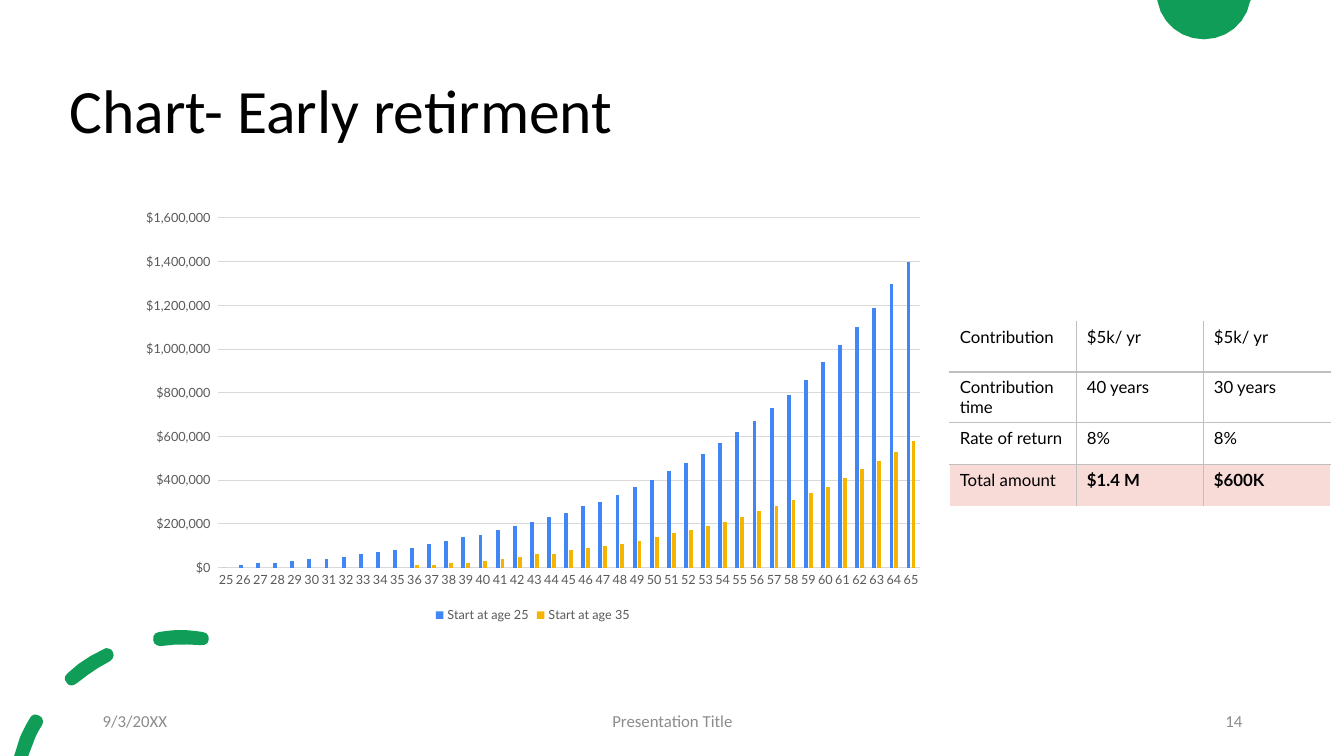
import pptx
import pptx.chart.data
import pptx.dml.color
import pptx.enum.chart
import pptx.enum.text
import pptx.oxml
import pptx.oxml.ns
import pptx.util

# Content
TITLE = "Chart- Early retirment"
AGES = range(25, 66)
LATE_START = 35
# Savings in tens of thousands of dollars, one value a year
SAVINGS = {
    "Start at age 25": ("4285F4", [
        0, 1, 2, 2, 3, 4, 4, 5, 6, 7, 8, 9, 11, 12, 14, 15, 17, 19, 21, 23, 25,
        28, 30, 33, 37, 40, 44, 48, 52, 57, 62, 67, 73, 79, 86, 94, 102, 110,
        119, 130, 140]),
    "Start at age 35": ("F4B400", [None] * (LATE_START - AGES[0]) + [
        0, 1, 1, 2, 2, 3, 4, 5, 6, 6, 8, 9, 10, 11, 12, 14, 16, 17, 19, 21, 23,
        26, 28, 31, 34, 37, 41, 45, 49, 53, 58]),
}
SUMMARY = [
    ("Contribution", "$5k/ yr", "$5k/ yr"),
    ("Contribution time", "40 years", "30 years"),
    ("Rate of return", "8%", "8%"),
    ("Total amount", "$1.4 M", "$600K"),
]
ROW_HEIGHTS = [0.5, 0.5, 0.42, 0.42]
COLUMN_WIDTH = 1.26
# text, left, width, alignment
FOOTER = [
    ("9/3/20XX", 0.92, 3, "LEFT"),
    ("Presentation Title", 4.42, 4.5, "CENTER"),
    ("14", 9.42, 3, "RIGHT"),
]
# Outlines: a start point, then lines (2 numbers) and Bezier curves (6 numbers)
DISC = [
    [(11.48, 0), (12.41, 0), (12.4, 0.01), (12.36, 0.23, 12.17, 0.39, 11.94, 0.39),
     (11.71, 0.39, 11.52, 0.23, 11.48, 0.01)],
]
DASHES = [
    [(0.36, 7.09), (0.34, 7.08, 0.31, 7.1, 0.3, 7.12),
     (0.26, 7.18, 0.23, 7.25, 0.2, 7.31), (0.14, 7.5), (0.28, 7.5), (0.33, 7.37),
     (0.35, 7.31, 0.38, 7.25, 0.42, 7.19), (0.44, 7.16, 0.42, 7.11, 0.39, 7.1),
     (0.36, 7.09)],
    [(1.05, 6.43), (1.03, 6.44),
     (0.9, 6.5, 0.77, 6.58, 0.67, 6.68), (0.64, 6.7, 0.63, 6.75, 0.66, 6.77),
     (0.67, 6.79, 0.69, 6.8, 0.71, 6.8), (0.73, 6.8, 0.74, 6.79, 0.76, 6.78),
     (0.86, 6.7, 0.97, 6.62, 1.09, 6.56), (1.12, 6.54, 1.14, 6.5, 1.12, 6.47),
     (1.11, 6.44, 1.08, 6.43, 1.05, 6.43)],
    [(1.79, 6.25), (1.72, 6.25, 1.65, 6.26, 1.58, 6.27),
     (1.54, 6.27, 1.51, 6.31, 1.52, 6.35), (1.52, 6.38, 1.55, 6.41, 1.59, 6.41),
     (1.73, 6.39, 1.86, 6.39, 1.99, 6.4), (2.03, 6.41, 2.07, 6.38, 2.07, 6.35),
     (2.08, 6.31, 2.05, 6.27, 2.01, 6.27), (1.94, 6.26, 1.86, 6.25, 1.79, 6.25)],
]
GREEN, BLACK, GRAY, LABEL = "0F9D58", "000000", "8C8C8C", "595959"
GRID, BORDER, PINK = "D9D9D9", "BFBFBF", "F8DAD7"
UNITS_PER_INCH = 1000


def color(value):
    return pptx.dml.color.RGBColor.from_string(value)


def inches(*values):
    return [pptx.util.Inches(value) for value in values]


def set_font(font, name, size, value, bold=False):
    font.name, font.size, font.bold = name, pptx.util.Pt(size), bold
    font.color.rgb = color(value)


def write(frame, text, name, size, value, bold=False, align="LEFT"):
    frame.word_wrap = True
    paragraph = frame.paragraphs[0]
    paragraph.alignment = getattr(pptx.enum.text.PP_ALIGN, align)
    run = paragraph.add_run()
    run.text = text
    set_font(run.font, name, size, value, bold)
    return paragraph


def trace(contour, steps):
    """Return the points of an outline, with each curve cut into short lines."""
    points = [contour[0]]
    for segment in contour[1:]:
        if len(segment) == 2:
            points.append(segment)
            continue
        controls = (points[-1], segment[:2], segment[2:4], segment[4:])
        for step in range(1, steps + 1):
            t = step / steps
            weights = ((1 - t) ** 3, 3 * t * (1 - t) ** 2, 3 * t * t * (1 - t), t ** 3)
            points.append(tuple(sum(w * c[axis] for w, c in zip(weights, controls))
                                for axis in (0, 1)))
    return [(round(x * UNITS_PER_INCH), round(y * UNITS_PER_INCH)) for x, y in points]


def add_outline(slide, contours, steps):
    first, *rest = [trace(contour, steps) for contour in contours]
    builder = slide.shapes.build_freeform(
        *first[0], scale=pptx.util.Inches(1) / UNITS_PER_INCH)
    builder.add_line_segments(first[1:])
    for points in rest:
        builder.move_to(*points[0])
        builder.add_line_segments(points[1:])
    shape = builder.convert_to_shape()
    shape.shadow.inherit = False
    shape.fill.solid()
    shape.fill.fore_color.rgb = color(GREEN)
    shape.line.fill.background()


def add_border(cell, side):
    cell._tc.get_or_add_tcPr().append(pptx.oxml.parse_xml(
        f'<a:ln{side} {pptx.oxml.ns.nsdecls("a")} w="12700"><a:solidFill>'
        f'<a:srgbClr val="{BORDER}"/></a:solidFill></a:ln{side}>'))


def add_savings_chart(slide):
    enum = pptx.enum.chart
    data = pptx.chart.data.CategoryChartData()
    data.categories = [str(age) for age in AGES]
    for name, (_, values) in SAVINGS.items():
        data.add_series(name, [None if v is None else v * 10000 for v in values])
    chart = slide.shapes.add_chart(enum.XL_CHART_TYPE.COLUMN_CLUSTERED,
                                   *inches(1.29, 2, 7.99, 4.22), data).chart
    set_font(chart.font, "Lato", 10, BLACK)
    chart.has_title = False
    chart.has_legend = True
    chart.legend.position = enum.XL_LEGEND_POSITION.BOTTOM
    chart.legend.include_in_layout = False
    set_font(chart.legend.font, "Lato", 9, LABEL)

    plot = chart.plots[0]
    plot.vary_by_categories = False
    plot.gap_width, plot.overlap = 219, -27
    for series, (fill, _) in zip(plot.series, SAVINGS.values()):
        series.format.fill.solid()
        series.format.fill.fore_color.rgb = color(fill)

    ages, dollars = chart.category_axis, chart.value_axis
    for axis in (ages, dollars):
        axis.major_tick_mark = axis.minor_tick_mark = enum.XL_TICK_MARK.NONE
        set_font(axis.tick_labels.font, "Lato", 9, LABEL)
    dollars.has_major_gridlines = True
    dollars.minimum_scale, dollars.maximum_scale = 0, 1600000
    dollars.major_unit = 200000
    dollars.tick_labels.number_format = '"$"#,##0_);\\("$"#,##0\\)'
    dollars.tick_labels.number_format_is_linked = False
    dollars.format.line.fill.background()
    for line in (ages.format.line, dollars.major_gridlines.format.line):
        line.color.rgb = color(GRID)
        line.width = pptx.util.Pt(0.75)


def add_summary_table(slide):
    rows, columns = len(SUMMARY), len(SUMMARY[0])
    table = slide.shapes.add_table(rows, columns, *inches(
        9.42, 3.19, COLUMN_WIDTH * columns, sum(ROW_HEIGHTS))).table
    table.first_row = table.horz_banding = False
    for column in table.columns:
        column.width = pptx.util.Inches(COLUMN_WIDTH)
    for r, texts in enumerate(SUMMARY):
        table.rows[r].height = pptx.util.Inches(ROW_HEIGHTS[r])
        total = r == rows - 1
        for c, text in enumerate(texts):
            cell = table.cell(r, c)
            write(cell.text_frame, text, "Lato", 12, BLACK, bold=total and c > 0)
            # Only inner edges carry a line
            inner = {"L": c > 0, "R": c < columns - 1, "T": r > 0, "B": not total}
            for side in filter(inner.get, inner):
                add_border(cell, side)
            if total:
                cell.fill.solid()
                cell.fill.fore_color.rgb = color(PINK)
            else:
                cell.fill.background()


def main():
    presentation = pptx.Presentation()
    presentation.slide_width, presentation.slide_height = inches(13.33, 7.5)
    slide = presentation.slides.add_slide(presentation.slide_layouts[5])
    middle = pptx.enum.text.MSO_ANCHOR.MIDDLE

    # Decoration
    add_outline(slide, DISC, steps=6)
    add_outline(slide, DASHES, steps=3)

    # Title
    title = slide.shapes.title
    title.left, title.top, title.width, title.height = inches(0.59, 0.4, 6.35, 1.45)
    title.text_frame.vertical_anchor = middle
    write(title.text_frame, TITLE, "Calibri", 44, BLACK).line_spacing = 0.9

    # Footer
    for text, left, width, align in FOOTER:
        box = slide.shapes.add_textbox(*inches(left, 6.95, width, 0.4))
        box.text_frame.vertical_anchor = middle
        write(box.text_frame, text, "Calibri", 12, GRAY, align=align)

    # Chart and table
    add_savings_chart(slide)
    add_summary_table(slide)
    presentation.save("out.pptx")


if __name__ == "__main__":
    main()
